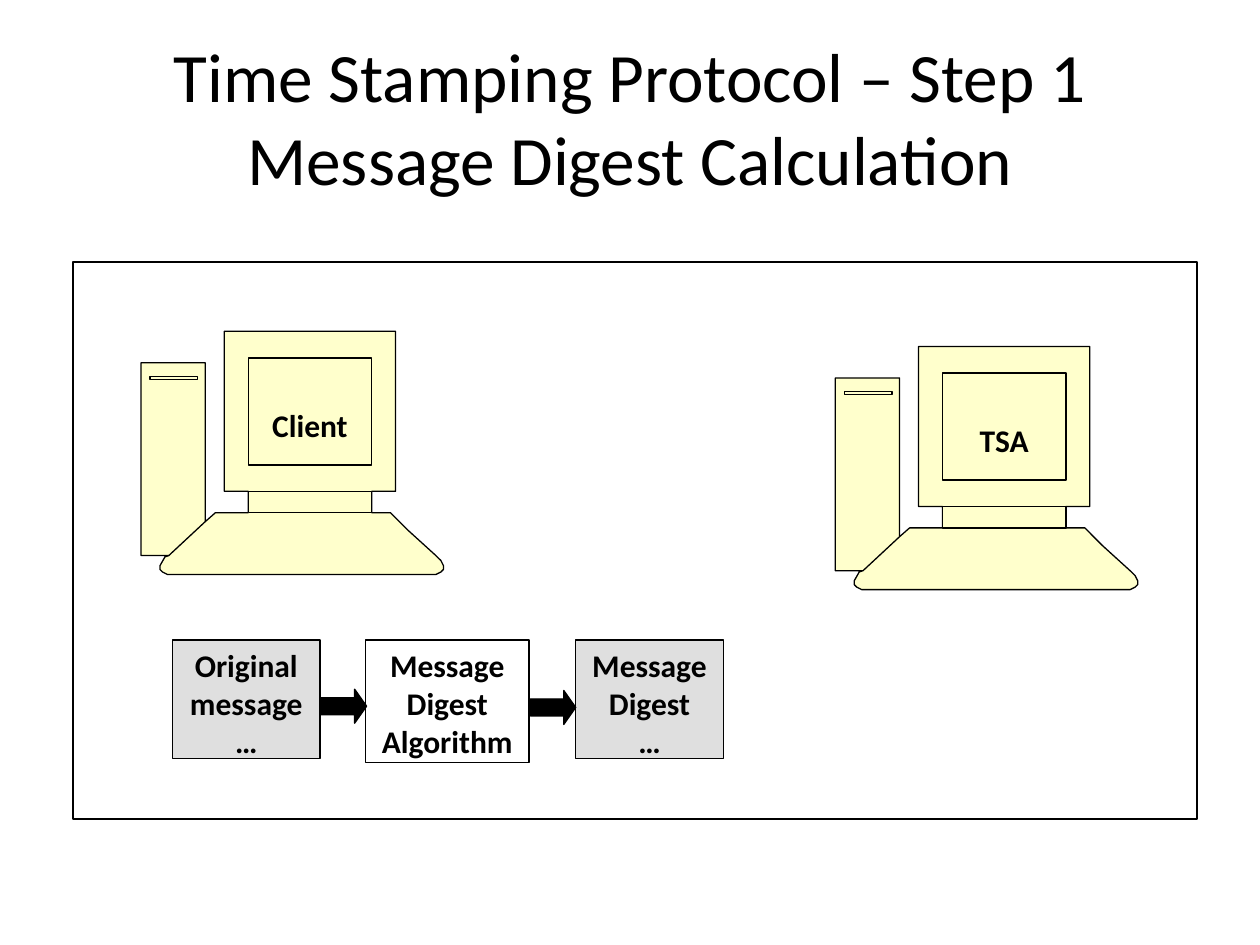
from typing import NamedTuple

from lxml import etree
from pptx import Presentation
from pptx.dml.color import RGBColor
from pptx.enum import shapes, text
from pptx.oxml.ns import qn
from pptx.util import Inches, Pt

FONT = "Calibri"
BLACK, WHITE, GREY, CREAM = "000000", "FFFFFF", "C0C0C0", "FFFFCC"
RECT = shapes.MSO_SHAPE.RECTANGLE
ARROW = shapes.MSO_SHAPE.RIGHT_ARROW


class Computer(NamedTuple):
    label: str
    left: float
    top: float


class Box(NamedTuple):
    lines: str
    left: float
    width: float
    height: float
    fill: str
    opacity: int = 100


COMPUTERS = [Computer("Client", 1.12, 2.63), Computer("TSA", 6.63, 2.75)]

BOXES = [
    Box("Original message\n…", 1.37, 1.17, 0.94, GREY, 50),
    Box("Message Digest Algorithm", 2.9, 1.3, 0.97, WHITE),
    Box("Message Digest\n…", 4.57, 1.17, 0.94, GREY, 50),
]
BOX_TOP = 5.08
ARROWS = [(2.55, 5.47), (4.21, 5.48)]

# Tower, monitor and keyboard in one contour, in inches from its top left;
# it ends with the edge where the keyboard covers the tower.
COMPUTER_OUTLINE = [
    (0.51, 1.51), (0.59, 1.44), (0.85, 1.44), (0.85, 1.27), (0.66, 1.27),
    (0.66, 0), (2.02, 0), (2.02, 1.27), (1.83, 1.27), (1.83, 1.44),
    (1.98, 1.44), (2.12, 1.58), (2.34, 1.78), (2.38, 1.82), (2.4, 1.86),
    (2.4, 1.89), (2.38, 1.91), (2.34, 1.93), (0.21, 1.93), (0.17, 1.91),
    (0.15, 1.89), (0.15, 1.86), (0.19, 1.79), (0.22, 1.78), (0, 1.78),
    (0, 0.25), (0.51, 0.25), (0.51, 1.51), (0.22, 1.78),
]


def rgb(color: str) -> RGBColor:
    return RGBColor.from_string(color)


def style(sp, fill: str, opacity: int = 100) -> None:
    sp.shadow.inherit = False
    sp.fill.solid()
    sp.fill.fore_color.rgb = rgb(fill)
    if opacity < 100:
        color = sp._element.spPr.find(qn("a:solidFill"))[0]
        etree.SubElement(color, qn("a:alpha"), val=str(opacity * 1000))
    sp.line.color.rgb = rgb(BLACK)
    sp.line.width = Pt(0.75)


def add_preset(s, kind, left: float, top: float, width: float, height: float,
               fill: str, opacity: int = 100):
    sp = s.shapes.add_shape(kind, Inches(left), Inches(top),
                            Inches(width), Inches(height))
    style(sp, fill, opacity)
    return sp


def write(tf, words: str, size: float, bold: bool, anchor) -> None:
    tf.text = words
    tf.word_wrap = True
    tf.auto_size = text.MSO_AUTO_SIZE.NONE
    tf.vertical_anchor = anchor
    for p in tf.paragraphs:
        p.alignment = text.PP_ALIGN.CENTER
        for r in p.runs:
            r.font.name = FONT
            r.font.size = Pt(size)
            r.font.bold = bold
            r.font.color.rgb = rgb(BLACK)


def draw_computer(s, pc: Computer) -> None:
    points = [(Inches(pc.left + x), Inches(pc.top + y))
              for x, y in COMPUTER_OUTLINE]
    builder = s.shapes.build_freeform(*points[0])
    builder.add_line_segments(points[1:], close=True)
    style(builder.convert_to_shape(), CREAM)

    add_preset(s, RECT, pc.left + 0.07, pc.top + 0.36, 0.38, 0.02, CREAM)  # slot
    add_preset(s, RECT, pc.left + 0.85, pc.top + 1.27, 0.98, 0.17, CREAM)  # neck
    screen = add_preset(s, RECT, pc.left + 0.85, pc.top + 0.21, 0.98, 0.85, CREAM)
    tf = screen.text_frame
    tf.margin_bottom = Inches(0.17)
    write(tf, pc.label, 18, True, text.MSO_ANCHOR.BOTTOM)


def draw_box(s, box: Box) -> None:
    sp = add_preset(s, RECT, box.left, BOX_TOP, box.width, box.height,
                    box.fill, box.opacity)
    write(sp.text_frame, box.lines, 18, True, text.MSO_ANCHOR.TOP)


def draw_arrow(s, left: float, top: float) -> None:
    sp = add_preset(s, ARROW, left, top, 0.36, 0.27, BLACK)
    sp.adjustments[0] = 0.5
    sp.adjustments[1] = 0.35


def main() -> None:
    prs = Presentation()
    prs.slide_width, prs.slide_height = Inches(10), Inches(7.5)
    s = prs.slides.add_slide(prs.slide_layouts[5])

    title = s.shapes.title
    title.left, title.top = Inches(0.5), Inches(0.3)
    title.width, title.height = Inches(9), Inches(1.25)
    write(title.text_frame,
          "Time Stamping Protocol – Step 1\vMessage Digest Calculation",
          39.6, False, text.MSO_ANCHOR.MIDDLE)

    add_preset(s, RECT, 0.58, 2.08, 8.92, 4.42, WHITE)
    for pc in COMPUTERS:
        draw_computer(s, pc)
    for box in BOXES:
        draw_box(s, box)
    for left, top in ARROWS:
        draw_arrow(s, left, top)

    prs.save("out.pptx")


if __name__ == "__main__":
    main()
